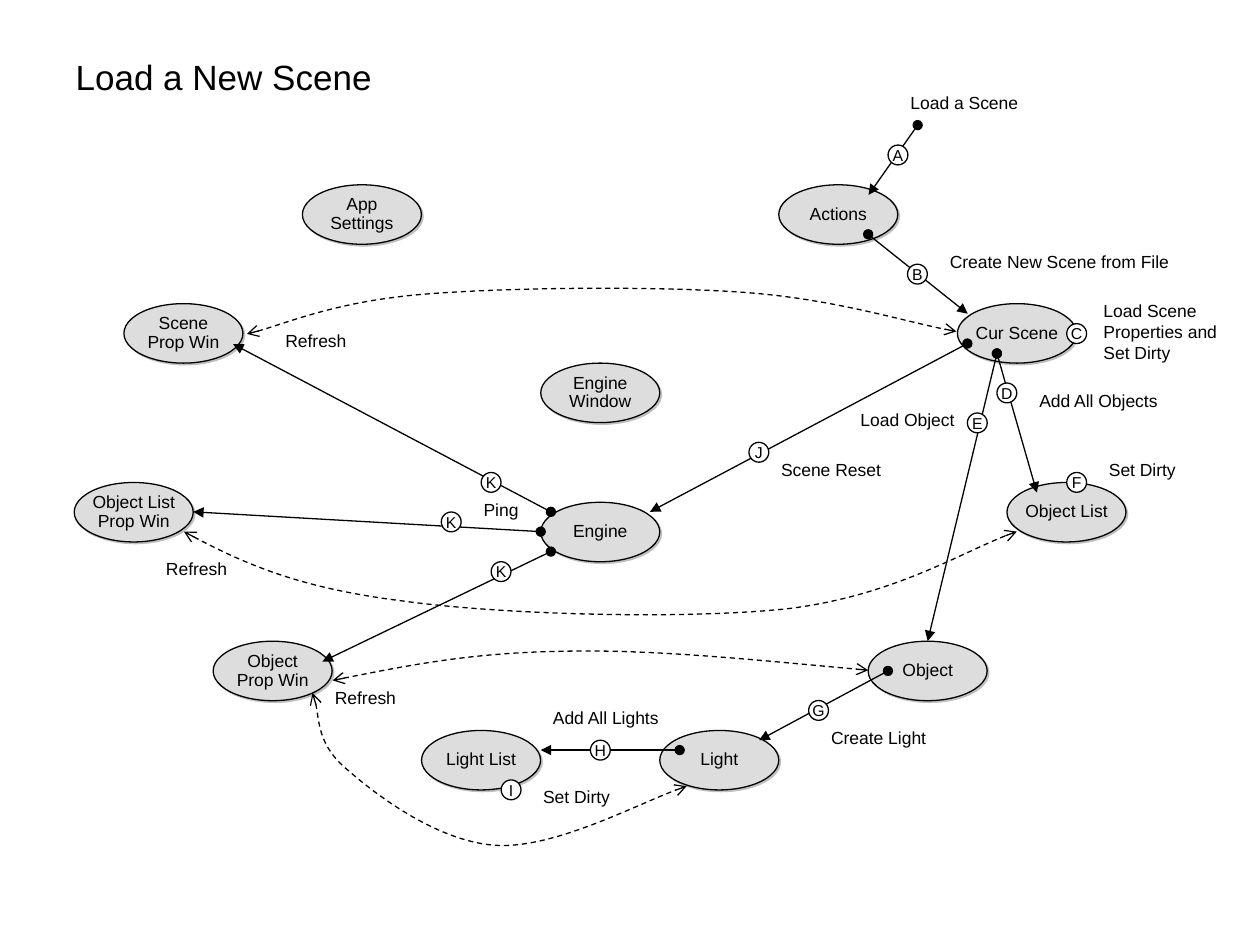
from typing import NamedTuple

from pptx import Presentation
from pptx.dml.color import RGBColor
from pptx.enum.dml import MSO_LINE
from pptx.enum.shapes import MSO_CONNECTOR, MSO_SHAPE
from pptx.enum.text import MSO_ANCHOR, MSO_AUTO_SIZE, PP_ALIGN
from pptx.oxml import parse_xml
from pptx.oxml.ns import nsdecls, qn
from pptx.util import Pt

OVAL = MSO_SHAPE.OVAL
STRAIGHT = MSO_CONNECTOR.STRAIGHT
DASH = MSO_LINE.DASH
TOP, MIDDLE = MSO_ANCHOR.TOP, MSO_ANCHOR.MIDDLE
LEFT, CENTER = PP_ALIGN.LEFT, PP_ALIGN.CENTER
FIXED, GROW = MSO_AUTO_SIZE.NONE, MSO_AUTO_SIZE.SHAPE_TO_FIT_TEXT

BLACK, WHITE, GREY = "000000", "FFFFFF", "DDDDDD"
NODE_W, NODE_H, BADGE, LABEL_H = 68, 34, 11.34, 19.4


class Mark(NamedTuple):
    """Text at the left top corner of its oval."""
    text: str
    x: float
    y: float


class Label(NamedTuple):
    text: str
    x: float
    y: float
    w: float
    h: float = LABEL_H


class Arrow(NamedTuple):
    x1: float
    y1: float
    x2: float
    y2: float


NODES = [
    Mark("App\vSettings", 172.8, 105.6),
    Mark("Scene\vProp Win", 70.8, 173.5),
    Mark("Cur Scene", 547.1, 173.5),
    Mark("Object List", 575.4, 275.7),
    Mark("Light List", 240.9, 417.4),
    Mark("Engine\vWindow", 309, 207.5),
    Mark("Engine", 309, 287),
    Mark("Object List\vProp Win", 42.4, 275.7),
    Mark("Object", 496.1, 366.4),
    Mark("Object\vProp Win", 121.8, 366.4),
    Mark("Actions", 445, 105.6),
    Mark("Light", 377, 417.4),
]
BADGES = [
    Mark("A", 507.5, 82.9), Mark("B", 518.6, 151), Mark("C", 609.6, 185),
    Mark("D", 569.7, 218.9), Mark("E", 552.8, 236), Mark("F", 609.6, 270),
    Mark("G", 462.1, 400.3), Mark("H", 337.4, 423), Mark("I", 286.4, 445.7),
    Mark("J", 428, 252.8), Mark("K", 275, 270), Mark("K", 252.2, 292.6),
    Mark("K", 280.7, 321),
]
LABELS = [
    Label("Load a Scene", 513.2, 49.2, 78),
    Label("Create New Scene from File", 535.7, 140, 142),
    Label("Load Scene Properties and Set Dirty", 623.5, 167.8, 96.5, 43.2),
    Label("Add All Objects", 586.8, 219.2, 84),
    Label("Load Object", 484.6, 230.4, 70),
    Label("Set Dirty", 626.6, 258.6, 55),
    Label("Scene Reset", 439.2, 258.6, 74),
    Label("Ping", 269.3, 281.5, 36),
    Label("Create Light", 467.8, 411.8, 71),
    Label("Add All Lights", 308.9, 400.3, 77),
    Label("Set Dirty", 303.3, 445.7, 55),
    Label("Refresh", 156, 185, 52),
    Label("Refresh", 87.8, 315.4, 52),
    Label("Refresh", 184.3, 389, 52),
]
ARROWS = [
    Arrow(524.4, 71.5, 496.3, 111.4),
    Arrow(496.1, 133.9, 553, 179.3),
    Arrow(569.7, 202, 592.5, 281.5),
    Arrow(314.8, 292.5, 133.2, 196.6),
    Arrow(309, 303.8, 110.4, 292.5),
    Arrow(314.8, 315.2, 184.3, 378),
    Arrow(569.7, 202, 530.1, 366.4),
    Arrow(507.4, 383.4, 433.8, 423),
    Arrow(388.4, 428.6, 309, 428.6),
    Arrow(552.8, 196.3, 371.4, 292.5),
]
# Each curve: a start, then two control points and an end per Bezier piece
CURVES = [
    [(141.1, 190.8), (157.7, 187.2), (191.5, 172.8), (238.3, 168.5),
     (285.8, 164.2), (373, 163.4), (424.1, 167),
     (475.2, 170.6), (520.6, 185), (546.5, 189.4)],
    [(105.1, 303.8), (136.8, 321.1), (172.1, 336.2), (229.7, 343.4),
     (287.3, 351.4), (391.7, 354.2), (450.7, 347.8),
     (509, 340.6), (553.7, 313.2), (581, 303.8)],
    [(190.1, 388.8), (229.7, 380.9), (269.3, 373), (320.4, 372.2),
     (371.5, 370.8), (433.4, 377.3), (496.1, 383)],
    [(178.6, 396), (182.2, 403.2), (181.4, 426.2), (199.4, 440.6),
     (216.7, 455.8), (252, 481.7), (284.4, 483.1),
     (316.8, 484.6), (370.1, 456.5), (392.4, 449.3)],
]


def paint(form, color: str) -> None:
    form.solid()
    form.fore_color.rgb = RGBColor.from_string(color)


def write(shape, text: str, size: float, frame: dict, para: dict) -> None:
    box = shape.text_frame
    box.text = text
    for name, value in frame.items():
        setattr(box, name, value)
    line = box.paragraphs[0]
    for name, value in para.items():
        setattr(line, name, value)
    for name, value in {"name": "Arial", "size": Pt(size)}.items():
        setattr(line.font, name, value)
    paint(line.font.fill, BLACK)


def stroke(shape, head: str = "", tail: str = "") -> None:
    shape.line.width = Pt(0.75)
    paint(shape.line.fill, BLACK)
    for tag, kind in (("headEnd", head), ("tailEnd", tail)):
        if kind:
            shape.line._get_or_add_ln().append(
                parse_xml(f'<a:{tag} {nsdecls("a")} type="{kind}"/>'))


def draw_oval(slide, mark: Mark, w: float, h: float, fill: str,
              size: float, para: dict):
    shape = slide.shapes.add_shape(
        OVAL, Pt(mark.x), Pt(mark.y), Pt(w), Pt(h))
    shape.shadow.inherit = False
    paint(shape.fill, fill)
    stroke(shape)
    frame = {"word_wrap": False, "vertical_anchor": MIDDLE}
    write(shape, mark.text, size, frame, {"alignment": CENTER, **para})
    return shape


def draw_node(slide, mark: Mark) -> None:
    shape = draw_oval(slide, mark, NODE_W, NODE_H, GREY, 10,
                      {"line_spacing": 0.9})
    shape.element.spPr.find(qn("a:effectLst")).append(parse_xml(
        f'<a:outerShdw {nsdecls("a")} dist="{Pt(1.4)}" dir="2700000" '
        'algn="ctr" rotWithShape="0"><a:srgbClr val="C0C0C0"/></a:outerShdw>'))


def draw_label(slide, item: Label) -> None:
    box = slide.shapes.add_textbox(
        Pt(item.x), Pt(item.y), Pt(item.w), Pt(item.h))
    frame = {"word_wrap": True, "auto_size": GROW, "vertical_anchor": TOP}
    write(box, item.text, 10, frame, {"alignment": LEFT})


def draw_arrow(slide, item: Arrow) -> None:
    line = slide.shapes.add_connector(STRAIGHT, *map(Pt, item))
    stroke(line, "oval", "triangle")
    line.element.spPr.append(parse_xml(f'<a:effectLst {nsdecls("a")}/>'))


def draw_curve(slide, points: list[tuple[float, float]]) -> None:
    """Build an outline through all points, then make each three a Bezier."""
    start, *rest = [(Pt(x), Pt(y)) for x, y in points]
    pen = slide.shapes.build_freeform(*start)
    pen.add_line_segments(rest, close=False)
    shape = pen.convert_to_shape()
    steps = list(shape.element.iter(qn("a:lnTo")))
    for i in range(0, len(steps), 3):
        bend = parse_xml(f'<a:cubicBezTo {nsdecls("a")}/>')
        steps[i].addprevious(bend)
        for step in steps[i:i + 3]:
            bend.append(step[0])
            step.getparent().remove(step)
    shape.shadow.inherit = False
    shape.fill.background()
    shape.line.dash_style = DASH
    stroke(shape, "arrow", "arrow")


def main() -> None:
    deck = Presentation()
    deck.slide_width, deck.slide_height = Pt(720), Pt(540)
    slide = deck.slides.add_slide(deck.slide_layouts[5])
    title = slide.shapes.title
    place = {"left": 36, "top": 21.6, "width": 648, "height": 44}
    for name, value in place.items():
        setattr(title, name, Pt(value))
    frame = {"vertical_anchor": MIDDLE, "auto_size": FIXED, "word_wrap": True}
    write(title, "Load a New Scene", 20, frame, {"alignment": LEFT})
    for node in NODES:
        draw_node(slide, node)
    for arrow in ARROWS:
        draw_arrow(slide, arrow)
    for curve in CURVES:
        draw_curve(slide, curve)
    for badge in BADGES:
        draw_oval(slide, badge, BADGE, BADGE, WHITE, 9, {})
    for label in LABELS:
        draw_label(slide, label)
    deck.save("out.pptx")


if __name__ == "__main__":
    main()
